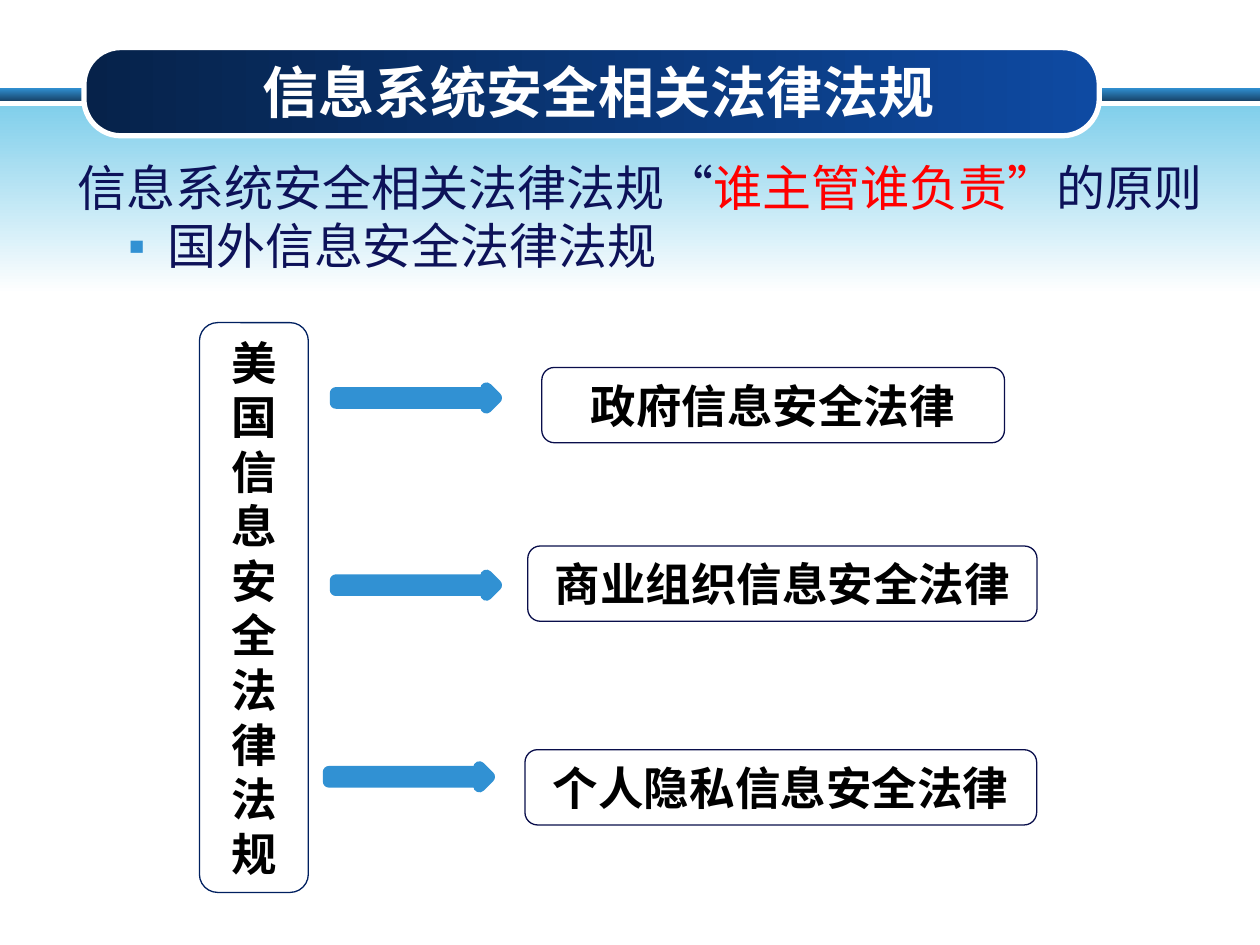
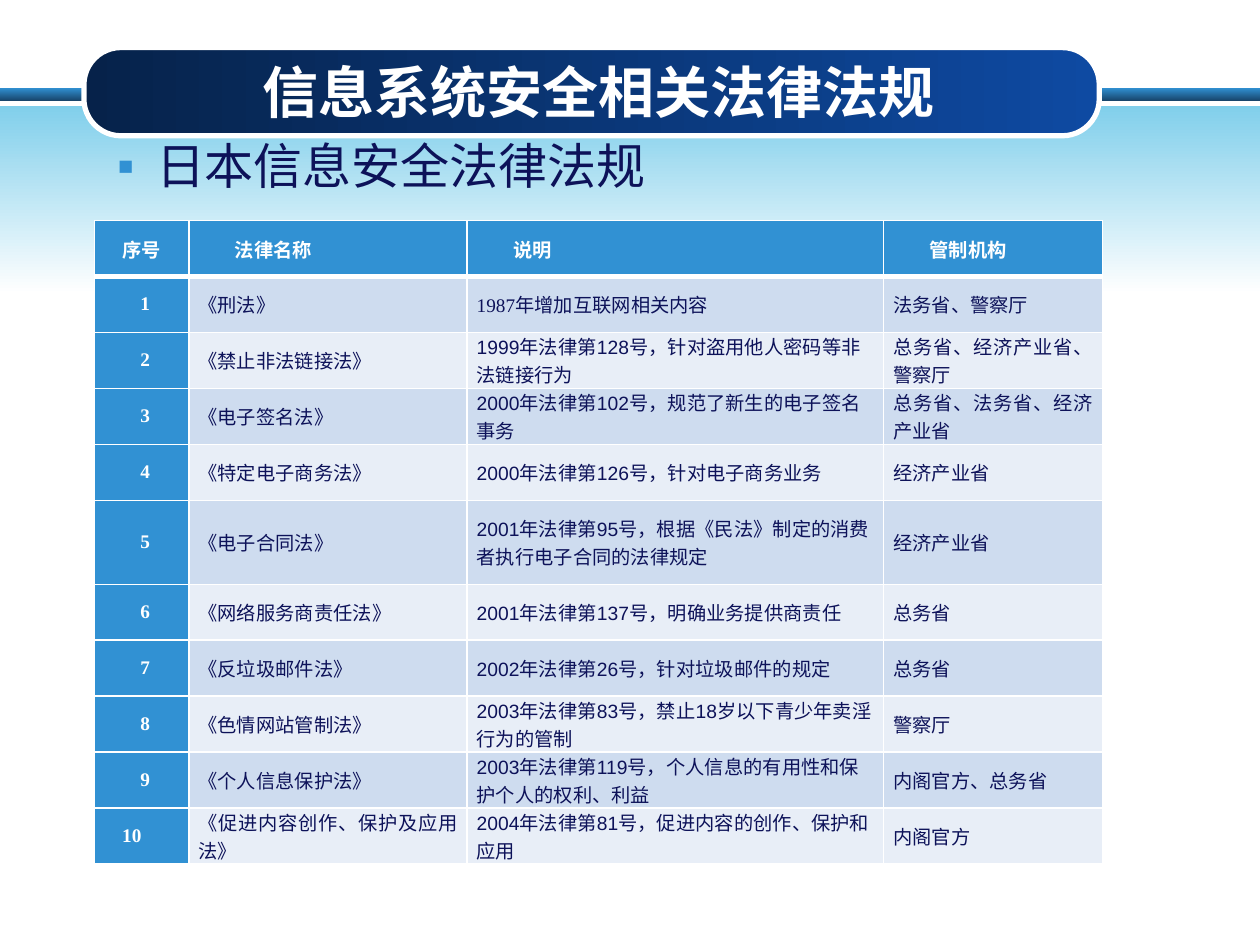
import pptx
import pptx.util
import pptx.dml.color
import pptx.enum.shapes
import pptx.enum.text
import pptx.oxml
import pptx.oxml.ns

Pt = pptx.util.Pt
SHAPE = pptx.enum.shapes.MSO_SHAPE
ALIGN = pptx.enum.text.PP_ALIGN
MIDDLE = pptx.enum.text.MSO_ANCHOR.MIDDLE
qn = pptx.oxml.ns.qn

# ---- Content ----
TITLE = "信息系统安全相关法律法规"
PRINCIPLE = [("信息系统安全相关法律法规“", "0D1259"),
             ("谁主管谁负责”", "FF0000"), ("的原则", "0D1259")]
FOREIGN_LAWS = "国外信息安全法律法规"
JAPAN_LAWS = "日本信息安全法律法规"
US_LAWS = "美国信息安全法律法规"
# Each branch: text, box (left, top, width), arrow (left, top)
US_BRANCHES = [
    ("政府信息安全法律", (309.6, 210, 264.4), (192, 222)),
    ("商业组织信息安全法律", (301.6, 312, 291), (192, 329)),
    ("个人隐私信息安全法律", (300, 428.4, 292.4), (188, 438.5)),
]
LAW_HEADER = ("序号", "法律名称", "说明", "管制机构")
JAPAN_TABLE = [
    ("《刑法》", "1987年增加互联网相关内容", "法务省、警察厅"),
    ("《禁止非法链接法》", "1999年法律第128号，针对盗用他人密码等非法链接行为",
     "总务省、经济产业省、警察厅"),
    ("《电子签名法》", "2000年法律第102号，规范了新生的电子签名事务",
     "总务省、法务省、经济产业省"),
    ("《特定电子商务法》", "2000年法律第126号，针对电子商务业务", "经济产业省"),
    ("《电子合同法》", "2001年法律第95号，根据《民法》制定的消费者执行电子合同的法律规定",
     "经济产业省"),
    ("《网络服务商责任法》", "2001年法律第137号，明确业务提供商责任", "总务省"),
    ("《反垃圾邮件法》", "2002年法律第26号，针对垃圾邮件的规定", "总务省"),
    ("《色情网站管制法》", "2003年法律第83号，禁止18岁以下青少年卖淫行为的管制", "警察厅"),
    ("《个人信息保护法》", "2003年法律第119号，个人信息的有用性和保护个人的权利、利益",
     "内阁官方、总务省"),
    ("《促进内容创作、保护及应用法》", "2004年法律第81号，促进内容的创作、保护和应用",
     "内阁官方"),
]

# ---- Shared look ----
HAN = "Noto Sans CJK SC"
BLUE, NAVY, WHITE = "3191D3", "0D1259", "FFFFFF"
ROW_FILLS = ("CEDCEF", "E8EEF7")
TITLE_TEXT = dict(size=Pt(32), bold=True, color=WHITE)
BODY_TEXT = dict(size=Pt(28), bold=False, color=NAVY)
BOX_TEXT = dict(size=Pt(26), bold=True, color="000000")
HEAD_TEXT = dict(size=Pt(11), bold=True, color=WHITE, name="Times New Roman")
CELL_TEXT = dict(size=Pt(11), bold=False, color=NAVY, name="Arial")


def rgb(code):
    return pptx.dml.color.RGBColor.from_string(code)


def add_run(paragraph, text, look):
    """Add a run whose Han characters always use the same typeface."""
    run = paragraph.add_run()
    run.text = text
    for key, value in {"name": HAN, **look}.items():
        if key == "color":
            run.font.color.rgb = rgb(value)
        else:
            setattr(run.font, key, value)
    east_asian = pptx.oxml.parse_xml(
        f'<a:ea {pptx.oxml.ns.nsdecls("a")} typeface="{HAN}"/>')
    run.font._element.find(qn("a:latin")).addnext(east_asian)


def add_shape(slide, kind, box, fill=None, line=None, weight=0.75, adjust=None):
    """fill is one colour, or (start, end, angle) for a gradient."""
    shape = slide.shapes.add_shape(kind, *map(Pt, box))
    shape.shadow.inherit = False
    if adjust is not None:
        shape.adjustments[0] = adjust
    if isinstance(fill, tuple):
        *colours, angle = fill
        shape.fill.gradient()
        shape.fill.gradient_angle = angle
        for stop, colour in zip(shape.fill.gradient_stops, colours):
            stop.color.rgb = rgb(colour)
    elif fill:
        shape.fill.solid()
        shape.fill.fore_color.rgb = rgb(fill)
    else:
        shape.fill.background()
    if line:
        shape.line.color.rgb = rgb(line)
        shape.line.width = Pt(weight)
    else:
        shape.line.fill.background()
    return shape


def add_text_frame(slide, box):
    frame = slide.shapes.add_textbox(*map(Pt, box)).text_frame
    frame.word_wrap = True
    return frame


def indent(paragraph, left, first):
    properties = paragraph._p.get_or_add_pPr()
    properties.set("marL", str(Pt(left)))
    properties.set("indent", str(Pt(first)))
    return properties


def add_bullet(paragraph, text):
    properties = indent(paragraph, 58.3, -22.3)
    ns = pptx.oxml.ns.nsdecls("a")
    for xml in (f'<a:buClr {ns}><a:srgbClr val="{BLUE}"/></a:buClr>',
                f'<a:buFont {ns} typeface="Arial"/>',
                f'<a:buChar {ns} char="▪"/>'):
        properties.append(pptx.oxml.parse_xml(xml))
    paragraph.line_spacing = 0.9
    add_run(paragraph, text, BODY_TEXT)


def add_law_box(slide, box, text, line):
    frame = add_shape(slide, SHAPE.ROUNDED_RECTANGLE, box, line=line).text_frame
    frame.word_wrap = True
    frame.vertical_anchor = MIDDLE
    paragraph = frame.paragraphs[0]
    paragraph.alignment = ALIGN.CENTER
    paragraph.line_spacing = Pt(31.15)
    add_run(paragraph, text, BOX_TEXT)


def add_base_slide(deck):
    """Blank slide with the stripe, the sky band and the title pill."""
    slide = deck.slides.add_slide(deck.slide_layouts[6])
    add_shape(slide, SHAPE.RECTANGLE, (0, 50.2, 720, 7.4), (BLUE, "17446A", 270))
    add_shape(slide, SHAPE.RECTANGLE, (0, 60.5, 720, 107.3), ("81CFEB", WHITE, 270))
    add_shape(slide, SHAPE.ROUNDED_RECTANGLE, (48, 27.2, 580.2, 50.4),
              ("06224A", "0E4AA2", 0), WHITE, 3, 0.419)
    frame = add_text_frame(slide, (66.2, 29.5, 552.2, 44.6))
    frame.vertical_anchor = MIDDLE
    frame.paragraphs[0].alignment = ALIGN.CENTER
    add_run(frame.paragraphs[0], TITLE, TITLE_TEXT)
    return slide


def set_borders(cell, bottom):
    properties = cell._tc.get_or_add_tcPr()
    edges = [("lnL", 1), ("lnR", 1), ("lnT", 1), ("lnB", bottom)]
    for place, (edge, weight) in enumerate(edges):
        properties.insert(place, pptx.oxml.parse_xml(
            f'<a:{edge} {pptx.oxml.ns.nsdecls("a")} w="{Pt(weight)}"><a:solidFill>'
            f'<a:srgbClr val="{WHITE}"/></a:solidFill></a:{edge}>'))


def add_us_slide(deck):
    slide = add_base_slide(deck)
    body = add_text_frame(slide, (30.2, 90, 668.9, 437.8))
    principle = body.paragraphs[0]
    indent(principle, 7, 0)
    principle.line_spacing = 0.9
    for text, colour in PRINCIPLE:
        add_run(principle, text, {**BODY_TEXT, "color": colour})
    foreign = body.add_paragraph()
    foreign.space_before = Pt(3)
    add_bullet(foreign, FOREIGN_LAWS)

    # One tall box on the left, an arrow to each branch
    add_law_box(slide, (114, 184.4, 62.2, 325.6), US_LAWS, "002060")
    for text, (left, top, width), arrow in US_BRANCHES:
        add_shape(slide, SHAPE.RIGHT_ARROW, (*arrow, 91.4, 10.8), BLUE, BLUE, 7)
        add_law_box(slide, (left, top, width, 43), text, "090E4B")


def add_japan_slide(deck):
    slide = add_base_slide(deck)
    body = add_text_frame(slide, (23.8, 77.8, 660.2, 450))
    add_bullet(body.paragraphs[0], JAPAN_LAWS)

    rows = [LAW_HEADER] + [(str(n), *law) for n, law in enumerate(JAPAN_TABLE, 1)]
    widths = (54, 159, 238, 125)
    heights = [48 if number == 5 else 32 for number in range(len(rows))]
    laws = slide.shapes.add_table(len(rows), len(widths), Pt(54), Pt(126),
                                  Pt(sum(widths)), Pt(sum(heights))).table
    for column, width in zip(laws.columns, widths):
        column.width = Pt(width)
    cell_format = dict(margin_left=Pt(5.4), margin_right=Pt(5.4), margin_top=0,
                       margin_bottom=0, vertical_anchor=MIDDLE)
    for r, row in enumerate(rows):
        laws.rows[r].height = Pt(heights[r])
        for c, text in enumerate(row):
            cell = laws.cell(r, c)
            for key, value in cell_format.items():
                setattr(cell, key, value)
            is_head = r == 0 or c == 0
            cell.fill.solid()
            cell.fill.fore_color.rgb = rgb(BLUE if is_head else ROW_FILLS[(r - 1) % 2])
            set_borders(cell, 3 if r == 0 else 1)
            paragraph = cell.text_frame.paragraphs[0]
            is_note = c == 2 and r > 0
            paragraph.alignment = ALIGN.LEFT if is_note else ALIGN.JUSTIFY
            look = HEAD_TEXT if is_head else CELL_TEXT
            if is_head:
                indent(paragraph, 0, 10.4 if c == 0 and len(text) == 2 else 20.9)
            elif r == 1 and c < 3:
                look = {**CELL_TEXT, "name": HEAD_TEXT["name"]}
            add_run(paragraph, text, look)


def main():
    deck = pptx.Presentation()
    deck.slide_width, deck.slide_height = Pt(720), Pt(540)
    add_us_slide(deck)
    add_japan_slide(deck)
    deck.save("out.pptx")


if __name__ == "__main__":
    main()
